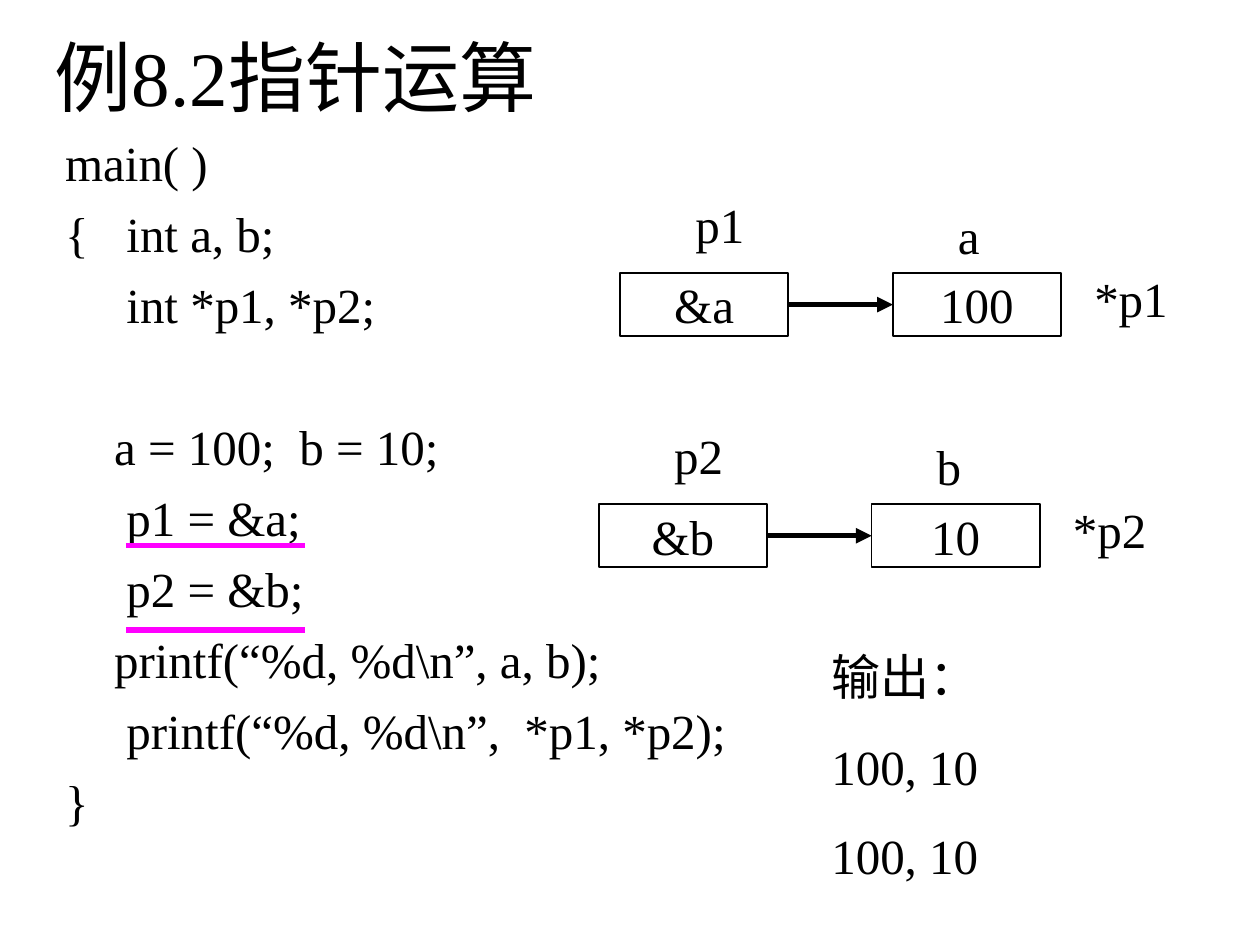
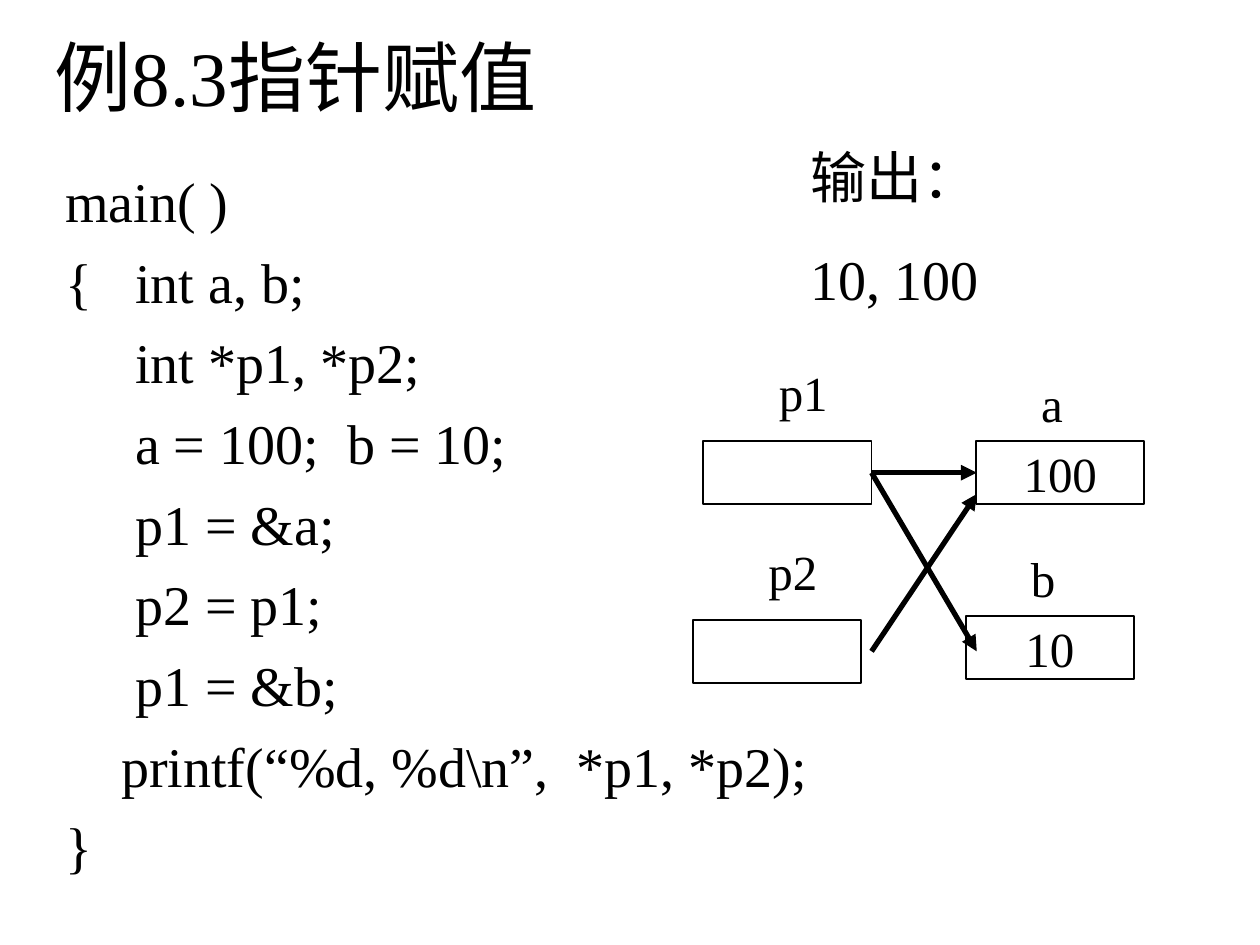
from lxml import etree
from pptx import Presentation
from pptx.dml.color import RGBColor
from pptx.enum.shapes import MSO_CONNECTOR, MSO_SHAPE
from pptx.enum.text import MSO_ANCHOR, MSO_AUTO_SIZE, PP_ALIGN
from pptx.oxml.ns import qn
from pptx.util import Cm, Pt

LEFT, CENTER = PP_ALIGN.LEFT, PP_ALIGN.CENTER
TOP, MIDDLE = MSO_ANCHOR.TOP, MSO_ANCHOR.MIDDLE
RECTANGLE, STRAIGHT = MSO_SHAPE.RECTANGLE, MSO_CONNECTOR.STRAIGHT
BLACK = RGBColor(0, 0, 0)
MAGENTA = RGBColor(255, 0, 255)
FONT = "Times New Roman"
LABEL_SIZE = 28

# Memory cells, in cm: a pointer cell, and its target to the right
CELL_W, CELL_H = 3.39, 1.27
TARGET_DX = 5.5
LABEL_H = 1.45

# Code lines are (indent in spaces, text); lengths are in cm, sizes in points
SLIDES = [
    {
        "title": "例8.2指针运算",
        "code": [
            (0, "main( )"), (5, "{\tint a, b;"), (5, "int *p1, *p2;"),
            (4, "a = 100;  b = 10;"), (5, "p1 = &a;"), (5, "p2 = &b;"),
            (4, "printf(“%d, %d\\n”, a, b);"),
            (5, "printf(“%d, %d\\n”,  *p1, *p2);"), (0, "}"),
        ],
        "code_box": (1.06, 2.54, 14.82, 14.82),
        "size": 28, "before": 7, "spacing": 1.0,
        "wide_gap": {3: 47.5},
        "output": ["输出：", "100, 10", "100, 10"],
        "output_box": (16.51, 12.91, 6.56, 5.05), "output_before": 17.5,
        # x, y, pointer, its value, target, its value, target drop, dereference
        "cells": [
            (12.5, 5.5, "p1", "&a", "a", "100", 0, "*p1"),
            (12.07, 10.16, "p2", "&b", "b", "10", 0, "*p2"),
        ],
        "arrows": [(15.88, 6.14, 18, 6.14), (15.45, 10.8, 17.57, 10.8)],
        "underlines": [(2.54, 11, 6.14, 11), (2.54, 12.7, 6.14, 12.7)],
    },
    {
        "title": "例8.3指针赋值",
        "code": [
            (0, "main( )"), (5, "{\tint a, b;"), (5, "int *p1, *p2;"),
            (5, "a = 100;  b = 10;"), (5, "p1 = &a;"), (5, "p2 = p1;"),
            (5, "p1 = &b;"), (4, "printf(“%d, %d\\n”,  *p1, *p2);"), (0, "}"),
        ],
        "code_box": (1.06, 2.96, 16.51, 15.24),
        "size": 32, "before": 0, "spacing": 1.2,
        "wide_gap": {},
        "output": ["输出：", "10, 100"],
        "output_box": (16.09, 2.75, 6.56, 3.68), "output_before": 20,
        "cells": [
            (14.18, 8.89, "p1", "", "a", "100", 0, ""),
            (13.97, 12.5, "p2", "", "b", "10", -0.08, ""),
        ],
        "arrows": [
            (17.57, 9.53, 19.69, 9.53),
            (17.57, 9.53, 19.69, 13.13),
            (17.57, 13.13, 19.69, 9.96),
        ],
        "underlines": [],
    },
]


def place(shape, left, top, width, height):
    shape.left, shape.top = Cm(left), Cm(top)
    shape.width, shape.height = Cm(width), Cm(height)


def write(shape, text, size, align=LEFT, anchor=TOP, wrap=True):
    frame = shape.text_frame
    frame.text = text
    frame.auto_size = MSO_AUTO_SIZE.NONE
    frame.word_wrap = wrap
    frame.vertical_anchor = anchor
    for para in frame.paragraphs:
        para.alignment = align
        for span in para.runs:
            span.font.name = FONT
            span.font.size = Pt(size)
            span.font.color.rgb = BLACK
    return frame.paragraphs


def add_text(page, box, text, size, **style):
    shape = page.shapes.add_textbox(*map(Cm, box))
    return write(shape, text, size, **style)


def add_cell(page, left, top, value):
    cell = page.shapes.add_shape(
        RECTANGLE, Cm(left), Cm(top), Cm(CELL_W), Cm(CELL_H))
    cell.shadow.inherit = False
    cell.fill.background()
    cell.line.color.rgb = BLACK
    cell.line.width = Pt(1)
    if value:
        write(cell, value, LABEL_SIZE, CENTER, MIDDLE, wrap=False)


def add_line(page, ends, color, arrow=False):
    line = page.shapes.add_connector(STRAIGHT, *map(Cm, ends))
    line.line.color.rgb = color
    line.line.width = Pt(3)
    if arrow:
        etree.SubElement(line.line._get_or_add_ln(), qn("a:tailEnd"),
                         type="triangle")
    etree.SubElement(line._element.spPr, qn("a:effectLst"))


def add_code(page, content):
    body = page.placeholders[1]
    place(body, *content["code_box"])
    text = "\n".join(line for _, line in content["code"])
    paras = write(body, text, content["size"])
    for row, (para, (spaces, line)) in enumerate(zip(paras, content["code"])):
        para.space_before = Pt(content["wide_gap"].get(row, content["before"]))
        para.line_spacing = content["spacing"]
        # A space is a quarter of the type size; a tab hangs to the indent
        indent = Pt(spaces * content["size"] / 4)
        props = para._p.get_or_add_pPr()
        props.set("marL", str(indent))
        props.set("indent", str(-indent if "\t" in line else 0))
        etree.SubElement(props, qn("a:buNone"))


def add_memory(page, left, top, pointer, address, target, value, drop, deref):
    target_left, target_top = left + TARGET_DX, top + drop
    add_cell(page, left, top, address)
    add_cell(page, target_left, target_top, value)
    labels = [
        (pointer, left + 1.27, top - 1.7, 1.5),
        (target, target_left + 1.06, target_top - 1.48, 0.97),
        (deref, left + 9.31, top - 0.21, 1.98),
    ]
    for text, label_left, label_top, width in labels:
        if text:
            add_text(page, (label_left, label_top, width, LABEL_H), text,
                     LABEL_SIZE, wrap=False)


def build_slide(deck, content):
    page = deck.slides.add_slide(deck.slide_layouts[1])

    # Title and code
    title = page.shapes.title
    place(title, 0.85, 0, 21.38, 3.07)
    write(title, content["title"], 44, anchor=MIDDLE)
    add_code(page, content)

    # Program output
    output = add_text(page, content["output_box"],
                      "\n".join(content["output"]), content["size"])
    for para in output:
        para.space_before = Pt(content["output_before"])

    # Memory diagram and highlights
    for cells in content["cells"]:
        add_memory(page, *cells)
    for ends in content["arrows"]:
        add_line(page, ends, BLACK, arrow=True)
    for ends in content["underlines"]:
        add_line(page, ends, MAGENTA)


def main():
    deck = Presentation()
    deck.slide_width, deck.slide_height = Cm(25.4), Cm(19.05)
    for content in SLIDES:
        build_slide(deck, content)
    deck.save("out.pptx")


if __name__ == "__main__":
    main()
